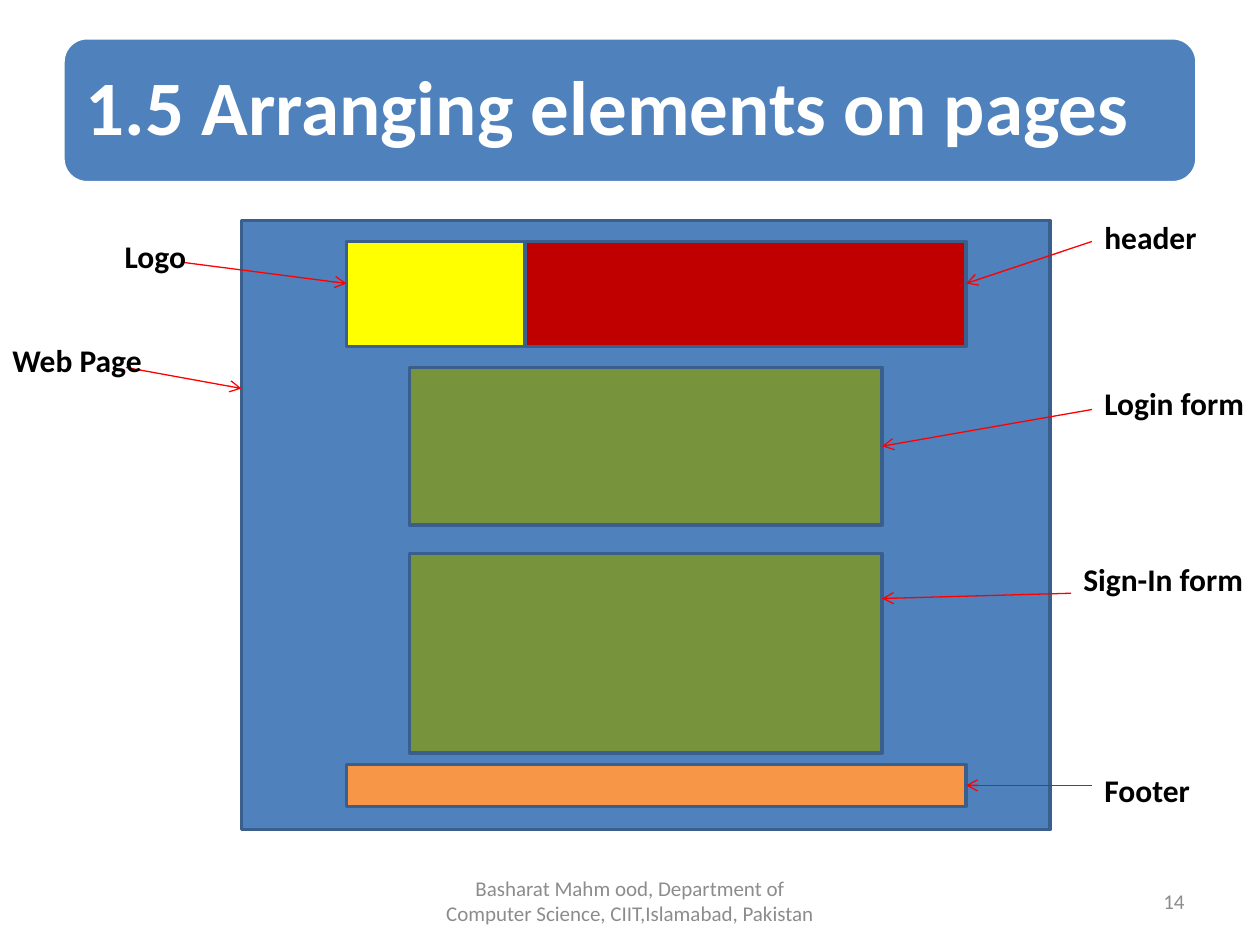
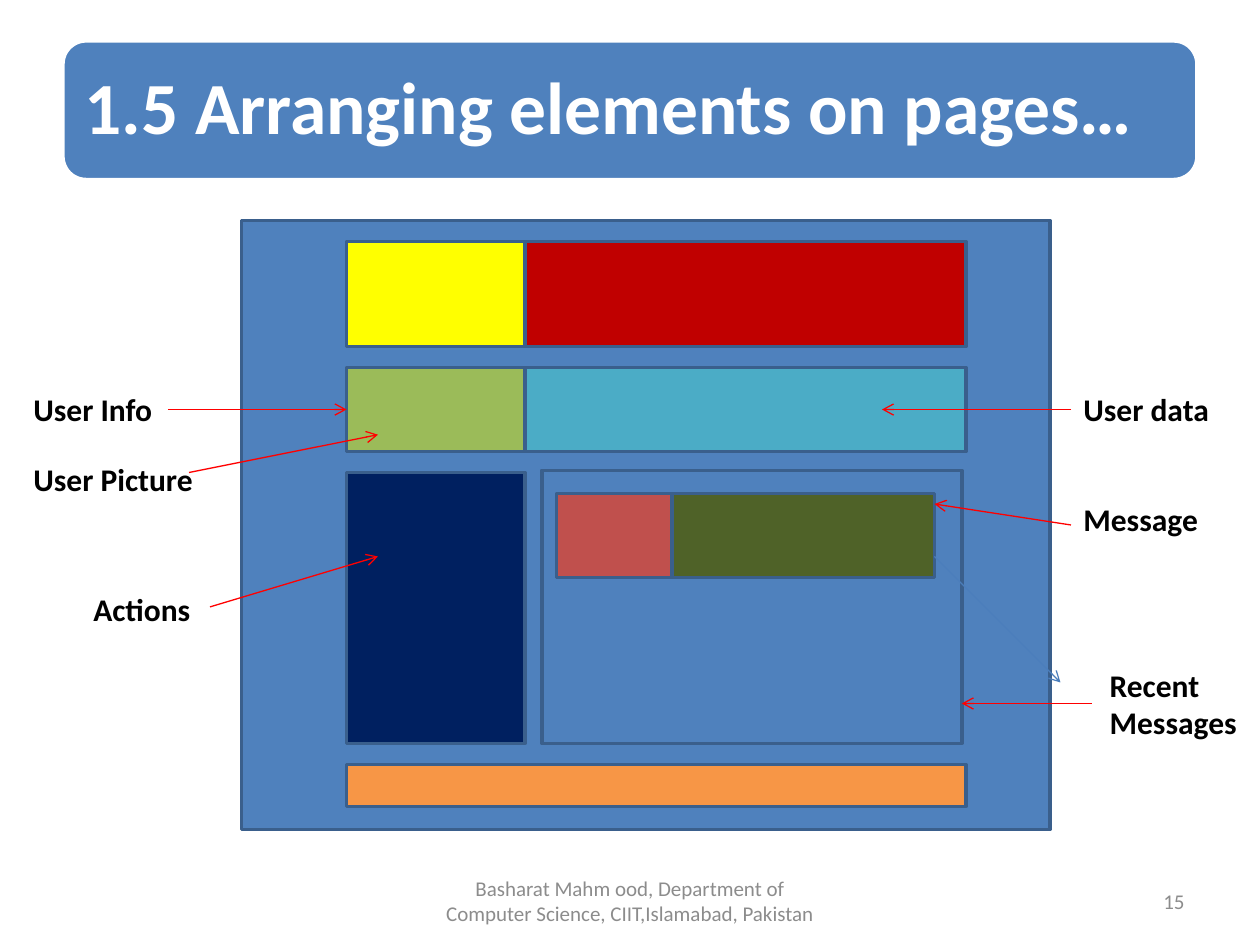
from dataclasses import dataclass
from typing import Optional

from lxml.etree import SubElement
from pptx import Presentation
from pptx.dml.color import RGBColor
from pptx.enum.shapes import MSO_CONNECTOR, MSO_SHAPE
from pptx.enum.text import MSO_ANCHOR, MSO_AUTO_SIZE, PP_ALIGN
from pptx.oxml.ns import qn
from pptx.util import Emu, Inches, Pt

# Shared look
FONT = "Calibri"
COLORS = {
    "white": "FFFFFF", "black": "000000", "gray": "8C8C8C",
    "blue": "4F81BD", "outline": "3A5F8C", "pale_arrow": "4B7EBC",
    "red": "FF0000", "dark_red": "C00000", "yellow": "FFFF00",
    "olive": "77933C", "orange": "F79646", "teal": "4BACC6",
    "green": "9BBB59", "navy": "002060", "moss": "4F6228", "brick": "C0504D",
}
FOOTER = "Basharat Mahm ood, Department of Computer Science, CIIT,Islamabad, Pakistan"

# Grid of 120 columns by 90 rows over the slide
WIDTH, HEIGHT = Inches(10), Inches(7.5)
COLUMNS, ROWS = 120, 90
LINE_ROWS = 4.8
LEFT, RIGHT = 1, 3  # connection sites


@dataclass(frozen=True)
class Box:
    col: float
    row: float
    cols: float
    rows: float = LINE_ROWS

    def emu(self) -> tuple:
        return (x_of(self.col), y_of(self.row), x_of(self.cols), y_of(self.rows))


@dataclass(frozen=True)
class Block:
    role: str
    box: Box
    fill: str


@dataclass(frozen=True)
class Arrow:
    start: tuple
    end: tuple
    color: str = "red"


@dataclass(frozen=True)
class Callout:
    label: str
    box: Box
    arrow: Arrow
    label_side: Optional[int] = None  # site where the arrow leaves the label
    target: Optional[str] = None      # block that the arrow is joined to
    target_side: Optional[int] = None


@dataclass(frozen=True)
class Page:
    title: str
    title_size: float
    band: Box
    inset: float
    number: str
    blocks: list
    callouts: list
    loose_arrows: list


def x_of(col: float) -> Emu:
    return Emu(round(WIDTH * col / COLUMNS))


def y_of(row: float) -> Emu:
    return Emu(round(HEIGHT * row / ROWS))


def rgb(name: str) -> RGBColor:
    return RGBColor.from_string(COLORS[name])


def write(paragraph, text: str, size: float, color: str, bold: bool = False) -> None:
    run = paragraph.add_run()
    run.text = text
    run.font.name, run.font.size, run.font.bold = FONT, Pt(size), bold
    run.font.color.rgb = rgb(color)


def draw_shape(slide, kind, box: Box, fill: str, line: str):
    shape = slide.shapes.add_shape(kind, *box.emu())
    shape.shadow.inherit = False
    shape.fill.solid()
    shape.fill.fore_color.rgb = rgb(fill)
    shape.line.color.rgb = rgb(line)
    shape.line.width = Pt(2)
    return shape


def draw_text(slide, text: str, box: Box, size: float, color: str, bold: bool = False,
              align=PP_ALIGN.LEFT, anchor=MSO_ANCHOR.TOP):
    text_box = slide.shapes.add_textbox(*box.emu())
    frame = text_box.text_frame
    frame.word_wrap = True
    frame.vertical_anchor = anchor
    frame.paragraphs[0].alignment = align
    write(frame.paragraphs[0], text, size, color, bold)
    return text_box


def draw_title(slide, page: Page) -> None:
    title = slide.shapes.title
    band = draw_shape(slide, MSO_SHAPE.ROUNDED_RECTANGLE, page.band, "blue", "white")
    title.element.addprevious(band.element)  # band goes behind the title
    title.left, title.top, title.width, title.height = page.band.emu()
    frame = title.text_frame
    frame.word_wrap = True
    frame.auto_size = MSO_AUTO_SIZE.NONE
    frame.vertical_anchor = MSO_ANCHOR.MIDDLE
    frame.margin_left = frame.margin_right = Inches(page.inset)
    frame.margin_top = frame.margin_bottom = Inches(page.inset)
    paragraph = frame.paragraphs[0]
    paragraph.alignment = PP_ALIGN.LEFT
    paragraph.line_spacing = 0.9
    write(paragraph, page.title, page.title_size, "white", True)


def draw_footer(slide, number: str) -> None:
    draw_text(slide, FOOTER, Box(41, 83.4, 38), 12, "gray",
              align=PP_ALIGN.CENTER, anchor=MSO_ANCHOR.MIDDLE)
    draw_text(slide, number, Box(86, 83.4, 28), 12, "gray",
              align=PP_ALIGN.RIGHT, anchor=MSO_ANCHOR.MIDDLE)


def draw_arrow(slide, arrow: Arrow):
    (start_col, start_row), (end_col, end_row) = arrow.start, arrow.end
    connector = slide.shapes.add_connector(
        MSO_CONNECTOR.STRAIGHT, x_of(start_col), y_of(start_row), x_of(end_col), y_of(end_row))
    connector.line.color.rgb = rgb(arrow.color)
    connector.line.width = Pt(0.75)
    properties = connector.element.spPr
    SubElement(properties.find(qn("a:ln")), qn("a:tailEnd"), type="arrow")
    SubElement(properties, qn("a:effectLst"))
    return connector


def draw_callout(slide, callout: Callout, drawn: dict) -> None:
    connector = draw_arrow(slide, callout.arrow)
    label = draw_text(slide, callout.label, callout.box, 18, "black", True)
    if callout.label_side is not None:
        connector.begin_connect(label, callout.label_side)
    if callout.target is not None:
        connector.end_connect(drawn[callout.target], callout.target_side)


def draw_page(prs, page: Page) -> None:
    slide = prs.slides.add_slide(prs.slide_layouts[5])
    draw_title(slide, page)
    draw_footer(slide, page.number)
    drawn = {block.role: draw_shape(slide, MSO_SHAPE.RECTANGLE, block.box, block.fill, "outline")
             for block in FRAME + page.blocks}
    for arrow in page.loose_arrows:
        draw_arrow(slide, arrow)
    for callout in page.callouts:
        draw_callout(slide, callout, drawn)


# Web page mock-up common to both slides
FRAME = [
    Block("web page", Box(23, 21, 77, 58), "blue"),
    Block("header", Box(33, 23, 59, 10), "dark_red"),
    Block("logo", Box(33, 23, 17, 10), "yellow"),
    Block("footer", Box(33, 72.8, 59, 4), "orange"),
]

PAGES = [
    # Start page with its forms
    Page(
        "1.5 Arranging elements on pages", 44, Box(6, 3.6, 108, 13.8), 0.18, "14",
        blocks=[
            Block("login form", Box(39, 35, 45, 15), "olive"),
            Block("sign-in form", Box(39, 52.7, 45, 19), "olive"),
        ],
        callouts=[
            Callout("Web Page", Box(0, 31.9, 17), Arrow((12, 35), (23, 37))),
            Callout("header", Box(104, 20.2, 14), Arrow((104, 23), (92, 27))),
            Callout("Logo", Box(10.7, 22, 12), Arrow((17.5, 25), (33, 27))),
            Callout("Login form", Box(104, 36, 16), Arrow((104, 39), (84, 42.5)),
                    target="login form", target_side=RIGHT),
            Callout("Sign-In form", Box(102, 52.7, 18), Arrow((102, 56.5), (84, 57))),
            Callout("Footer", Box(104, 72.8, 16), Arrow((104, 74.8), (92, 74.8)),
                    target="footer", target_side=RIGHT),
        ],
        loose_arrows=[],
    ),
    # User page with its messages
    Page(
        "1.5 Arranging elements on pages…", 42, Box(6, 3.9, 108, 13.2), 0.17, "15",
        blocks=[
            Block("user data", Box(33, 35, 59, 8), "teal"),
            Block("user info", Box(33, 35, 17, 8), "green"),
            Block("actions", Box(33, 45, 17, 25.8), "navy"),
            Block("recent messages", Box(51.6, 44.8, 40, 26), "blue"),
            Block("message", Box(53, 47, 36, 8), "moss"),
            Block("message sender", Box(53, 47, 11, 8), "brick"),
        ],
        callouts=[
            Callout("User Info", Box(2, 36.6, 14), Arrow((16, 39), (33, 39)),
                    label_side=RIGHT, target="user info", target_side=LEFT),
            Callout("User Picture", Box(2, 43.2, 18), Arrow((18, 45), (36, 41.4))),
            Callout("User data", Box(102, 36.6, 16), Arrow((102, 39), (84, 39)),
                    label_side=LEFT),
            Callout("Actions", Box(7.7, 55.6, 15), Arrow((20, 57.8), (36, 53))),
            Callout("Recent Messages", Box(104.5, 62.8, 16, 8.5), Arrow((104, 67), (91.6, 67))),
            Callout("Message", Box(102, 47, 14), Arrow((102, 50), (89, 48))),
        ],
        loose_arrows=[Arrow((89, 53), (101, 65), "pale_arrow")],
    ),
]


def main() -> None:
    prs = Presentation()
    prs.slide_width, prs.slide_height = WIDTH, HEIGHT
    for page in PAGES:
        draw_page(prs, page)
    prs.save("out.pptx")


if __name__ == "__main__":
    main()
